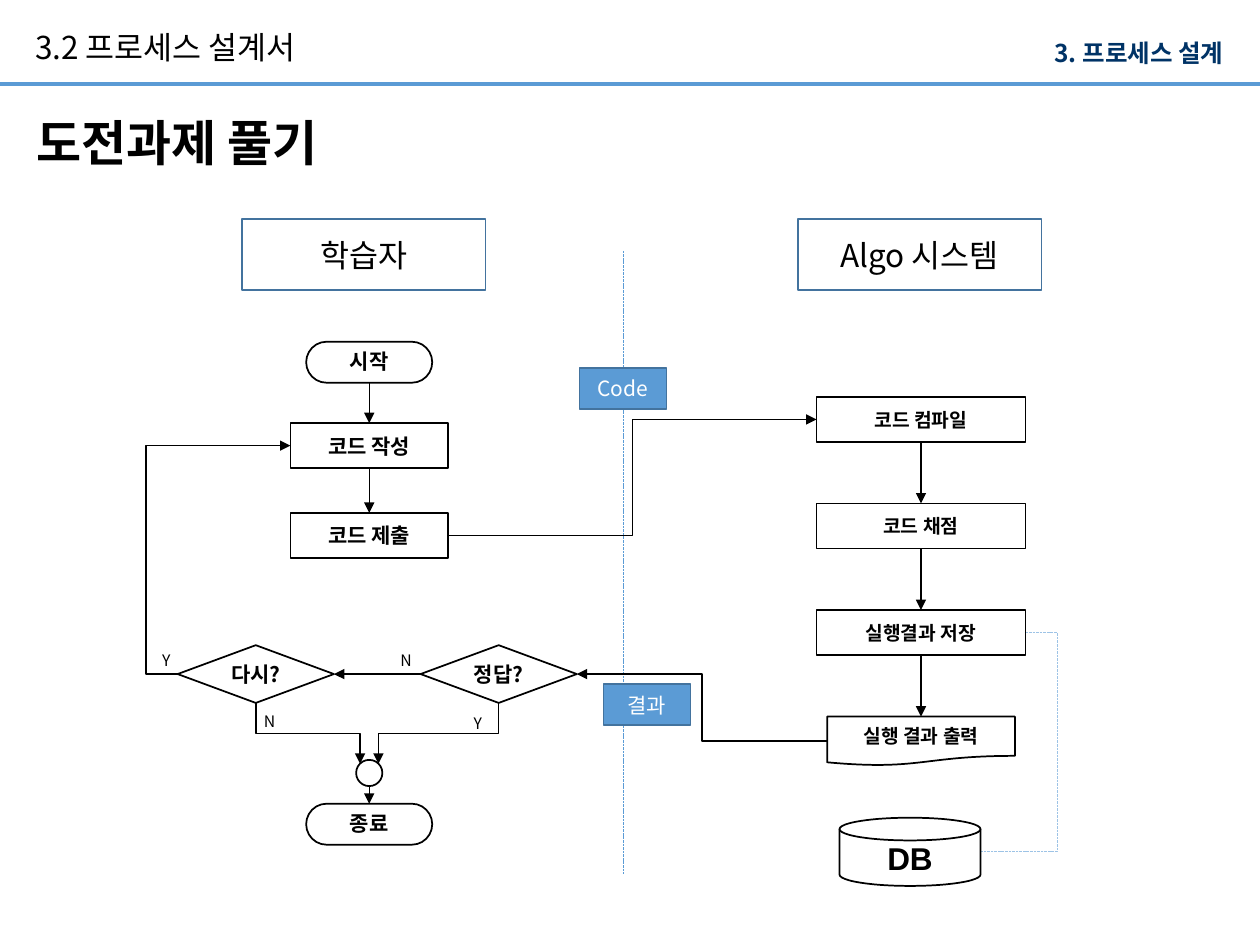
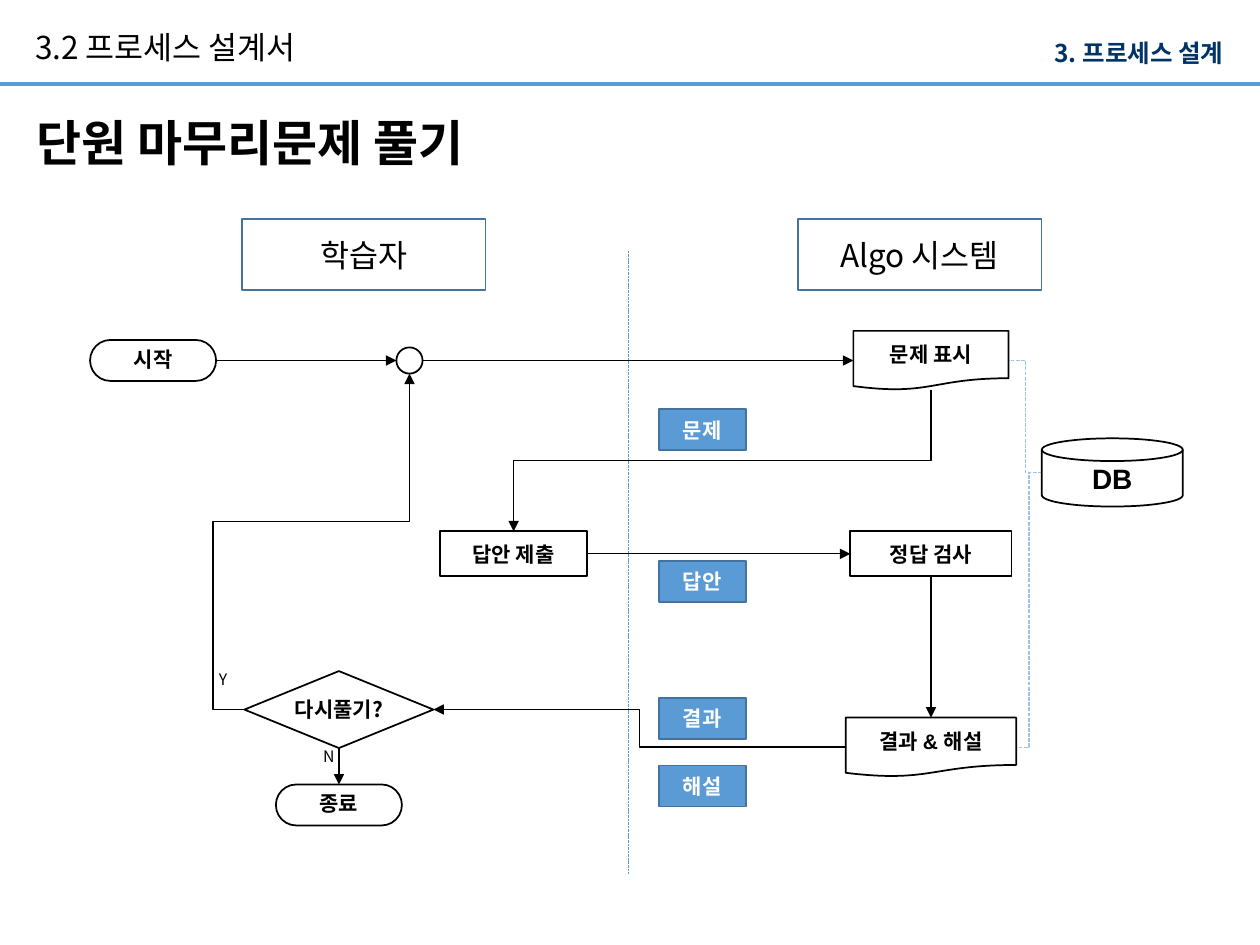
from lxml import etree
from pptx import Presentation
from pptx.dml.color import RGBColor
from pptx.enum.dml import MSO_LINE
from pptx.enum.shapes import MSO_CONNECTOR, MSO_SHAPE
from pptx.enum.text import MSO_ANCHOR, PP_ALIGN
from pptx.oxml.ns import qn
from pptx.util import Pt

BOX = MSO_SHAPE.RECTANGLE
PILL = MSO_SHAPE.FLOWCHART_TERMINATOR
SHEET = MSO_SHAPE.FLOWCHART_DOCUMENT
CHOICE = MSO_SHAPE.FLOWCHART_DECISION
JOINT = MSO_SHAPE.FLOWCHART_CONNECTOR
DISK = MSO_SHAPE.FLOWCHART_MAGNETIC_DISK
STRAIGHT, ELBOW = MSO_CONNECTOR.STRAIGHT, MSO_CONNECTOR.ELBOW
DASH = MSO_LINE.SQUARE_DOT
LEFT, CENTER, RIGHT = PP_ALIGN.LEFT, PP_ALIGN.CENTER, PP_ALIGN.RIGHT
TOP, MIDDLE = MSO_ANCHOR.TOP, MSO_ANCHOR.MIDDLE

SANS, ARIAL = "Noto Sans CJK KR", "Arial"
BLACK, WHITE, NAVY = "000000", "FFFFFF", "003366"
BLUE, STEEL, PALE = "5B9BD5", "43739E", "9DC3E6"
hue = RGBColor.from_string


def put(page, text, x, y, wide, tall, kind=None, size=12, font=SANS, ink=BLACK, bold=False,
        fill=None, edge=BLACK, align=CENTER, anchor=MIDDLE, pad=(0, 0), wrap=True, lead=None):
    spot = [Pt(n) for n in (x - wide / 2, y - tall / 2, wide, tall)]
    if kind is None:
        shape = page.shapes.add_textbox(*spot)
    else:
        shape = page.shapes.add_shape(kind, *spot)
        shape.shadow.inherit = False
        shape.line.color.rgb = hue(edge)
        shape.line.width = Pt(1)
        if fill:
            shape.fill.solid()
            shape.fill.fore_color.rgb = hue(fill)
        else:
            shape.fill.background()
    if not text:
        return
    frame = shape.text_frame
    frame.word_wrap = wrap
    frame.vertical_anchor = anchor
    frame.margin_left = frame.margin_right = Pt(pad[0])
    frame.margin_top = frame.margin_bottom = Pt(pad[1])
    para = frame.paragraphs[0]
    para.alignment = align
    if lead:
        para.line_spacing = lead
    run = para.add_run()
    run.text = text
    run.font.size = Pt(size)
    run.font.bold = bold
    run.font.name = font
    run.font.color.rgb = hue(ink)
    etree.SubElement(run.font._element, qn("a:ea"), typeface=SANS)


def link(page, start, end, bends=(), down=False, color=BLACK, width=0.75, dash=None, tip=None):
    (x1, y1), (x2, y2) = start, end
    if down:
        mid_x, mid_y = (x1 + x2) / 2, (y1 + y2) / 2
        half_x, half_y = (x2 - x1) / 2, (y2 - y1) / 2
        x1, y1, x2, y2 = mid_x - half_y, mid_y + half_x, mid_x + half_y, mid_y - half_x
    wire = page.shapes.add_connector(ELBOW if bends else STRAIGHT, Pt(x1), Pt(y1), Pt(x2), Pt(y2))
    wire.line.color.rgb = hue(color)
    wire.line.width = Pt(width)
    if dash:
        wire.line.dash_style = dash
    props = wire._element.spPr
    if down:
        props.find(qn("a:xfrm")).set("rot", "5400000")
    if bends:
        form = props.find(qn("a:prstGeom"))
        form.set("prst", f"bentConnector{len(bends) + 2}")
        for n, bend in enumerate(bends, 1):
            etree.SubElement(form.find(qn("a:avLst")), qn("a:gd"),
                             name=f"adj{n}", fmla=f"val {round(bend * 100000)}")
    if tip:
        etree.SubElement(props.find(qn("a:ln")), qn("a:" + tip), type="triangle")
    etree.SubElement(props, qn("a:effectLst"))


looks = {
    BOX: dict(font=ARIAL, fill=WHITE),
    PILL: dict(font=ARIAL, fill=WHITE, lead=0.9),
    SHEET: dict(font=ARIAL, fill=WHITE, wrap=False),
    CHOICE: dict(wrap=False),
    JOINT: dict(fill=WHITE),
    DISK: dict(font=ARIAL, fill=WHITE, wrap=False),
}
sides = {"left": (-0.5, 0), "right": (0.5, 0), "top": (0, -0.5), "base": (0, 0.5),
         "northwest": (-0.35, -0.35), "northeast": (0.35, -0.35)}
tall = {BOX: 25.8, PILL: 23.4, JOINT: 15, DISK: 39}
user, host, swap = 211, 526.3, 401.3
steps = ["코드 컴파일", "코드 채점", "실행결과 저장"]
chain = steps + ["실행 결과 출력"]

flows = [
    dict(
        title="도전과제 풀기", wide=194, split=356.4, bold=False, thin=0.5, large=18, small=11,
        tall={SHEET: 28, CHOICE: 33},
        nodes=[
            ("시작", PILL, user, 207, 72),
            ("코드 작성", BOX, user, 254.7, 90),
            ("코드 제출", BOX, user, 306, 90),
            ("정답?", CHOICE, 285, 385.2, 89.3),
            ("다시?", CHOICE, 146.2, 385.2, 89.3),
            ("", JOINT, user, 441.7, 15),
            ("종료", PILL, user, 471, 72),
            ("실행 결과 출력", SHEET, host, 423.5, 107.3),
            ("DB", DISK, 520, 486.8, 80.6),
        ] + [(text, BOX, host, 239.7 + 60.9 * n, 119.5) for n, text in enumerate(steps)],
        chips=[("Code", 356, 222), ("결과", 369.7, 402.7)],
        marks=[("N", 232, 377), ("Y", 273, 413), ("N", 154, 412), ("Y", 95, 377)],
        links=[
            ("시작", "base", "코드 작성", "top"),
            ("코드 작성", "base", "코드 제출", "top"),
            ("코드 제출", "right", "코드 컴파일", "left"),
            ("실행 결과 출력", "left", "정답?", "right"),
            ("정답?", "left", "다시?", "right"),
            ("정답?", "base", "", "northeast"),
            ("다시?", "base", "", "northwest"),
            ("다시?", "left", "코드 작성", "left", -0.28),
            ("", "base", "종료", "top"),
        ] + [(one, "base", two, "top") for one, two in zip(chain, chain[1:])],
        stores=[("실행결과 저장", "right", "DB", "right", -0.7)],
    ),
    dict(
        title="단원 마무리문제 풀기", wide=289, split=359.3, bold=True, thin=0.75, large=16, small=12,
        tall={SHEET: 33.8, CHOICE: 44},
        nodes=[
            ("시작", PILL, 87.5, 206, 72),
            ("", JOINT, 234, 206, 15),
            ("문제 표시", SHEET, 532, 206, 88.7),
            ("답안 제출", BOX, 293.5, 316.5, 84),
            ("정답 검사", BOX, 532, 316.5, 92.2),
            ("결과 & 해설", SHEET, 532, 427, 97.4),
            ("다시풀기?", CHOICE, 193.7, 405.5, 108),
            ("종료", PILL, 193.7, 460, 72),
            ("DB", DISK, 635.6, 270, 80.6),
        ],
        chips=[(text, swap, y) for text, y in
               [("문제", 245.6), ("답안", 332.2), ("결과", 410.5), ("해설", 449.2)]],
        marks=[("N", 188, 432), ("Y", 127.5, 388)],
        links=[
            ("시작", "right", "", "left"),
            ("", "right", "문제 표시", "left"),
            ("문제 표시", "base", "답안 제출", "top"),
            ("답안 제출", "right", "정답 검사", "left"),
            ("정답 검사", "base", "결과 & 해설", "top"),
            ("결과 & 해설", "left", "다시풀기?", "right"),
            ("다시풀기?", "base", "종료", "top"),
            ("", "base", "다시풀기?", "left", 0.44, 1.19),
        ],
        stores=[("DB", "left", "문제 표시", "right"), ("DB", "left", "결과 & 해설", "right")],
    ),
]

deck = Presentation()
deck.slide_width, deck.slide_height = Pt(720), Pt(540)

for flow in flows:
    page = deck.slides.add_slide(deck.slide_layouts[6])
    link(page, (0, 48.2), (720, 48.2), color=BLUE, width=2.25)
    put(page, "3. 프로세스 설계", 579, 34.2, 240.5, 28, size=14, ink=NAVY, bold=True,
        align=RIGHT, anchor=TOP, pad=(0, 3.6), lead=0.9)
    put(page, "3.2 프로세스 설계서", 255.6, 24.5, 471, 49, size=18, align=LEFT, lead=1.2)
    put(page, flow["title"], 13.7 + flow["wide"] / 2, 81, flow["wide"], 41, size=28, bold=True,
        align=LEFT, anchor=TOP, pad=(7.2, 3.6))
    link(page, (flow["split"], 143.3), (flow["split"], 499.7), color=BLUE, width=0.5, dash=DASH)
    for role, x in [("학습자", 207.8), ("Algo 시스템", 525.5)]:
        put(page, role, x, 145.4, 139.3, 40.3, BOX, size=18, fill=WHITE, edge=STEEL)

    high = tall | flow["tall"]
    ports = {(text, side): (x + dx * wide, y + dy * high[kind])
             for text, kind, x, y, wide in flow["nodes"] for side, (dx, dy) in sides.items()}
    thin = dict(color=PALE, width=flow["thin"], dash=DASH)
    for group, style in [("stores", thin), ("links", dict(tip="tailEnd"))]:
        for one, exit, two, entry, *bends in flow[group]:
            start, end = ports[one, exit], ports[two, entry]
            if not bends and all(abs(a - b) > 1 for a, b in zip(start, end)):
                bends = [0.5]
            if len(bends) == 2:
                style = dict(tip="headEnd")
            link(page, start, end, bends, down=bool(bends) and exit == "base", **style)

    for text, kind, x, y, wide in flow["nodes"]:
        size = flow["large"] if kind == DISK else 12
        if x == host and flow["small"] < size:
            size = flow["small"]
        put(page, text, x, y, wide, high[kind], kind, size=size, bold=True, **looks[kind])
    for text, x, y in flow["chips"]:
        put(page, text, x, y, 49.7, 23.4, BOX, ink=WHITE, bold=flow["bold"], fill=BLUE, edge=STEEL)
    for text, x, y in flow["marks"]:
        put(page, text, x, y, 20, 17.6, size=9)

deck.save("out.pptx")
